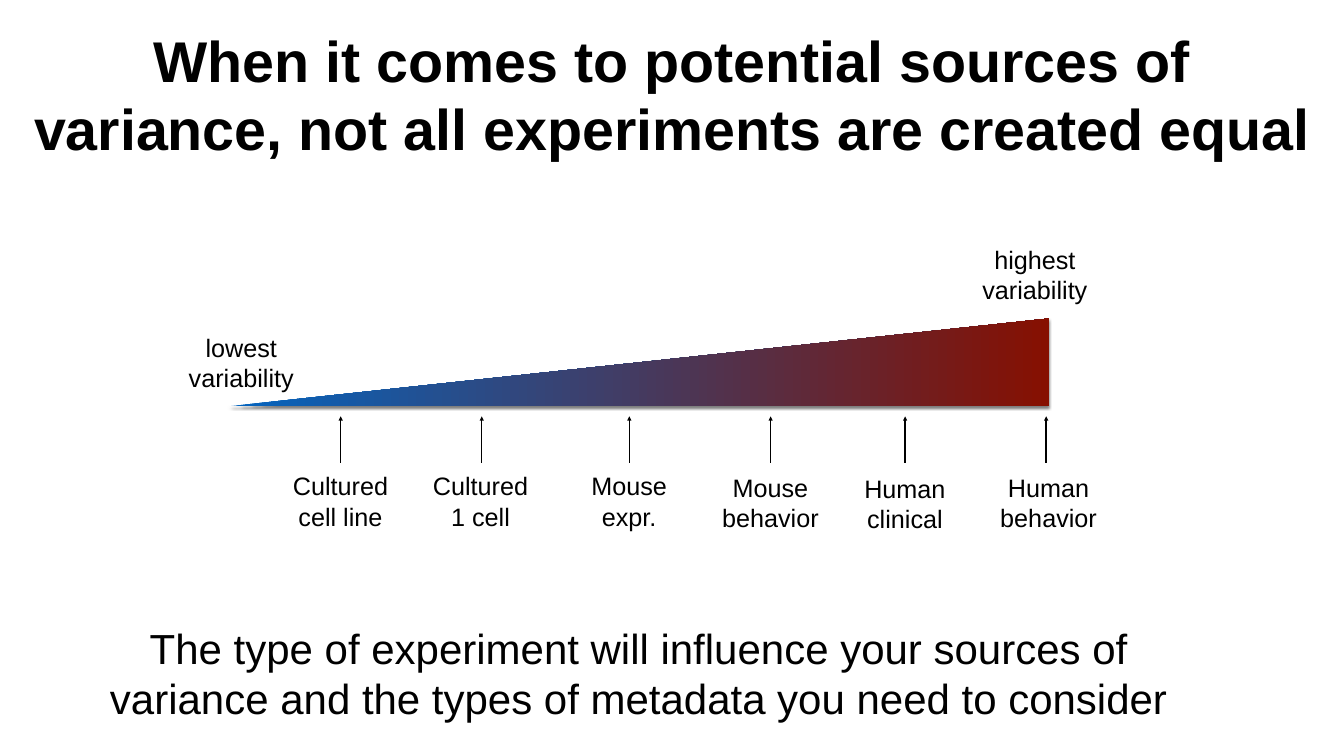
from lxml import etree
from pptx import Presentation
from pptx.dml.color import RGBColor
from pptx.enum.shapes import MSO_CONNECTOR
from pptx.enum.text import MSO_ANCHOR, MSO_AUTO_SIZE, PP_ALIGN
from pptx.oxml import parse_xml
from pptx.oxml.ns import nsdecls, qn
from pptx.util import Cm, Pt

COLORS = {"text": "000000", "low": "0365C0", "high": "861001"}
FRAME = {
    "word_wrap": True, "auto_size": MSO_AUTO_SIZE.NONE, "vertical_anchor": MSO_ANCHOR.MIDDLE,
    "margin_left": Cm(0.2), "margin_right": Cm(0.2), "margin_top": Cm(0.2), "margin_bottom": Cm(0.2),
}


def write_text(box, text, size, bold=False):
    frame = box.text_frame
    for name, value in FRAME.items():
        setattr(frame, name, value)
    frame.text = text
    for para in frame.paragraphs:
        para.alignment = PP_ALIGN.CENTER
        font = {"name": "Arial", "size": Pt(size), "bold": bold}
        for name, value in font.items():
            setattr(para.font, name, value)
        para.font.color.rgb = RGBColor.from_string(COLORS["text"])


deck = Presentation()
deck.slide_width, deck.slide_height = Cm(67.74), Cm(38.1)
slide = deck.slides.add_slide(deck.slide_layouts[5])

# Title
title = slide.shapes.title
title.left, title.top, title.width, title.height = Cm(1.42), Cm(1.25), Cm(64.87), Cm(6.93)
write_text(title, "When it comes to potential sources of variance, "
           "not all experiments are created equal", 82, bold=True)

# Variability wedge
left, right, top, bottom = Cm(11.5), Cm(52.88), Cm(16.05), Cm(20.48)
builder = slide.shapes.build_freeform(right, top)
builder.add_line_segments([(right, bottom), (left, bottom)], close=True)
wedge = builder.convert_to_shape()
wedge.line.fill.background()
wedge.fill.gradient()
wedge.fill.gradient_angle = 0
for stop, position, color in zip(wedge.fill.gradient_stops, (0, 1), ("low", "high")):
    stop.position = position
    stop.color.rgb = RGBColor.from_string(COLORS[color])
wedge.shadow.inherit = False
wedge.element.spPr.find(qn("a:effectLst")).append(parse_xml(
    f'<a:outerShdw {nsdecls("a")} blurRad="{Pt(4)}" dist="{Pt(2)}" dir="5400000" rotWithShape="0">'
    f'<a:srgbClr val="{COLORS["text"]}"><a:alpha val="50000"/></a:srgbClr></a:outerShdw>'))

# Arrows up to the wedge
for x in (17.17, 24.28, 31.72, 38.84, 45.62, 52.73):
    arrow = slide.shapes.add_connector(MSO_CONNECTOR.STRAIGHT, Cm(x), Cm(23.32), Cm(x), Cm(20.98))
    arrow.line.width = Pt(2)
    arrow.line.color.rgb = RGBColor.from_string(COLORS["text"])
    etree.SubElement(arrow.line._get_or_add_ln(), qn("a:tailEnd"), type="triangle")
    etree.SubElement(arrow.element.spPr, qn("a:effectLst"))

# Labels at the ends of the wedge and under the arrows, then the closing sentence
texts = [
    ("lowest\nvariability", 9.3, 16.59, 5.72, 3.33, 36),
    ("highest\nvariability", 49.3, 12.17, 5.72, 3.33, 36),
    ("Cultured cell line", 14.3, 23.5, 5.72, 3.48, 36),
    ("Cultured 1 cell", 21.36, 23.5, 5.72, 3.48, 36),
    ("Mouse\nexpr.", 28.85, 23.5, 5.72, 3.48, 36),
    ("Mouse\nbehavior", 35.97, 23.6, 5.72, 3.48, 36),
    ("Human clinical", 42.75, 23.62, 5.72, 3.48, 36),
    ("Human behavior", 49.99, 23.6, 5.72, 3.48, 36),
    ("The type of experiment will influence your sources of variance "
     "and the types of metadata you need to consider", 3.71, 31.29, 56.97, 5.21, 60),
]
for text, x, y, width, height, size in texts:
    box = slide.shapes.add_textbox(Cm(x), Cm(y), Cm(width), Cm(height))
    write_text(box, text, size)

deck.save("out.pptx")
